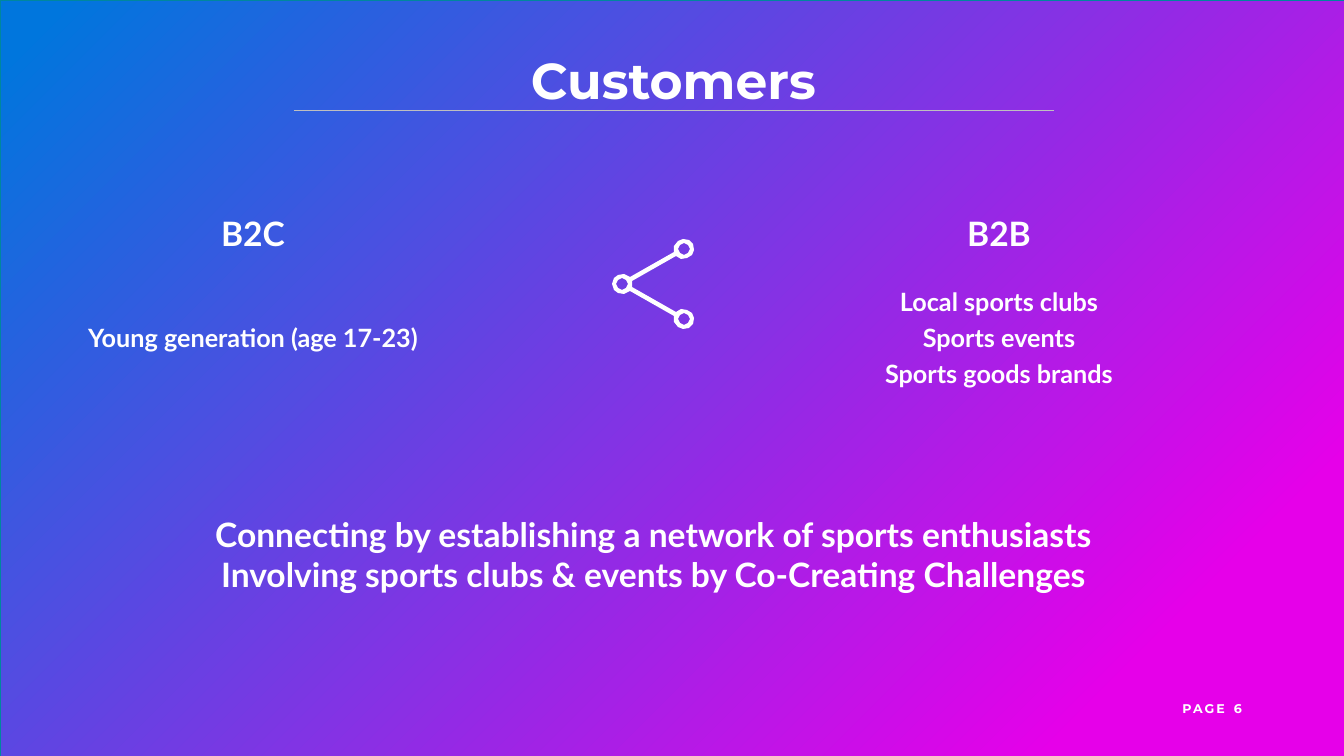
import math
from lxml import etree
from pptx import Presentation, util as u
from pptx.dml.color import RGBColor
from pptx.enum import shapes as es, text as et
from pptx.oxml.ns import qn

# Content
TITLE = "Customers"
GROUPS = [
    ("B2C", 253, ["Young generation (age 17-23)"]),
    ("B2B", 999, ["Local sports clubs", "Sports events", "Sports goods brands"]),
]
CLOSING = [
    "Connecting by establishing a network of sports enthusiasts",
    "Involving sports clubs & events by Co-Creating Challenges",
]
PAGE = ("PAGE", "6")

THEME = {
    "white": "FFFFFF", "rule": "BFBFBF", "edge": "00879E",
    "grad": [(0.03, "0076DD"), (0.86, "E600E9")],
    "head": "Montserrat", "text": "Lato",
    "title": 72, "large": 48, "list": 36, "small": 18,
}

# Geometry in px
WIDE, HIGH = 1344, 756
SCALE = 914400 / 50.4
MID_Y, ROW, COL_W = 337, 36, 378
HUB, REACH, RISE = (622, 284), 62, 35
RING, HOLE, HALF = 10, 6, 2


def px(n):
    return u.Emu(round(n * SCALE))


def rgb(name):
    return RGBColor.from_string(THEME.get(name, name))


def place(shape, box):
    shape.left, shape.top, shape.width, shape.height = map(px, box)


def write(slide, lines, box, shape=None, font="text", size="large",
          align="CENTER", gap=0, track=0, wrap=False):
    """Put bold white lines in a box, or in a given placeholder."""
    if shape is None:
        shape = slide.shapes.add_textbox(0, 0, 0, 0)
    place(shape, box)
    frame = shape.text_frame
    frame.text = "\n".join(lines)
    frame.word_wrap = wrap
    frame.auto_size = et.MSO_AUTO_SIZE.NONE
    frame.vertical_anchor = et.MSO_ANCHOR.MIDDLE
    frame.margin_left = frame.margin_right = 0
    frame.margin_top = frame.margin_bottom = 0
    for i, para in enumerate(frame.paragraphs):
        para.alignment = et.PP_ALIGN[align]
        para.space_before = u.Pt(gap if i else 0)
        if shape.is_placeholder:
            props = para._p.get_or_add_pPr()
            props.set("marL", "0")
            props.set("indent", "0")
            etree.SubElement(props, qn("a:buNone"))
        run = para.runs[0]
        run.font.name, run.font.size = THEME[font], u.Pt(THEME[size])
        run.font.bold = True
        run.font.color.rgb = rgb("white")
        if track:
            run._r.get_or_add_rPr().set("spc", str(track * 100))


def paint(slide):
    """Gradient panel behind everything."""
    panel = slide.shapes.add_shape(
        es.MSO_SHAPE.RECTANGLE, 0, 0, px(WIDE), px(HIGH))
    panel.shadow.inherit = False
    panel.fill.gradient()
    panel.fill.gradient_angle = 315
    for stop, (pos, color) in zip(panel.fill.gradient_stops, THEME["grad"]):
        stop.position, stop.color.rgb = pos, rgb(color)
    panel.line.color.rgb, panel.line.width = rgb("edge"), u.Pt(1)
    panel._element.getparent().insert(2, panel._element)


def rule(slide, x1, x2, y):
    line = slide.shapes.add_connector(
        es.MSO_CONNECTOR.STRAIGHT, px(x1), px(y), px(x2), px(y))
    line.line.color.rgb, line.line.width = rgb("rule"), u.Pt(0.5)
    etree.SubElement(line._element.spPr, qn("a:effectLst"))


def arc(center, radius, start, end, steps):
    """Points on a circle, angles in radians, clockwise from the right."""
    turns = [start + (end - start) * i / steps for i in range(steps + 1)]
    return [(center[0] + radius * math.cos(t),
             center[1] + radius * math.sin(t)) for t in turns]


def share(slide):
    """Hub joined to two tips: one outline with three round holes."""
    top = (HUB[0] + REACH, HUB[1] - RISE)
    low = (HUB[0] + REACH, HUB[1] + RISE)
    tilt, slot = math.atan2(RISE, REACH), math.asin(HALF / RING)
    pi = math.pi
    outer = (arc(HUB, RING, tilt + slot, 2 * pi - tilt - slot, 8)
             + arc(top, RING, pi - tilt + slot, 3 * pi - tilt - slot, 10)
             + arc(HUB, RING, slot - tilt, tilt - slot, 1)
             + arc(low, RING, pi + tilt + slot, 3 * pi + tilt - slot, 10))
    holes = [arc(node, HOLE, 2 * pi, 0, 8)[:-1] for node in (HUB, top, low)]
    pen = slide.shapes.build_freeform(*outer[0], scale=SCALE)
    pen.add_line_segments(outer[1:], close=True)
    for hole in holes:
        pen.move_to(*hole[0])
        pen.add_line_segments(hole[1:], close=True)
    icon = pen.convert_to_shape()
    icon.shadow.inherit = False
    icon.fill.solid()
    icon.fill.fore_color.rgb = rgb("white")
    icon.line.fill.background()


def main():
    deck = Presentation()
    deck.slide_width, deck.slide_height = px(WIDE), px(HIGH)
    slide = deck.slides.add_slide(deck.slide_layouts[3])
    title, *bodies = list(slide.placeholders)[:3]
    paint(slide)

    # Title and rule
    write(slide, [TITLE], (529, 49, 289, 61), title, font="head", size="title")
    rule(slide, 294, 1054, 110)

    # Customer groups
    for (name, mid, items), body in zip(GROUPS, bodies):
        write(slide, [name], (mid - 32, 213, 64, 41))
        high = ROW * len(items)
        write(slide, items, (mid - COL_W / 2, MID_Y - high / 2, COL_W, high),
              body, size="list", gap=8.2, wrap=True)
    share(slide)

    # Closing lines and page number
    write(slide, CLOSING, (209, 513, 889, 82))
    write(slide, PAGE[:1], (1179, 701, 46, 15), font="head", size="small",
          align="RIGHT", track=3)
    write(slide, PAGE[1:], (1215, 701, 46, 15), font="head", size="small")
    deck.save("out.pptx")


if __name__ == "__main__":
    main()
